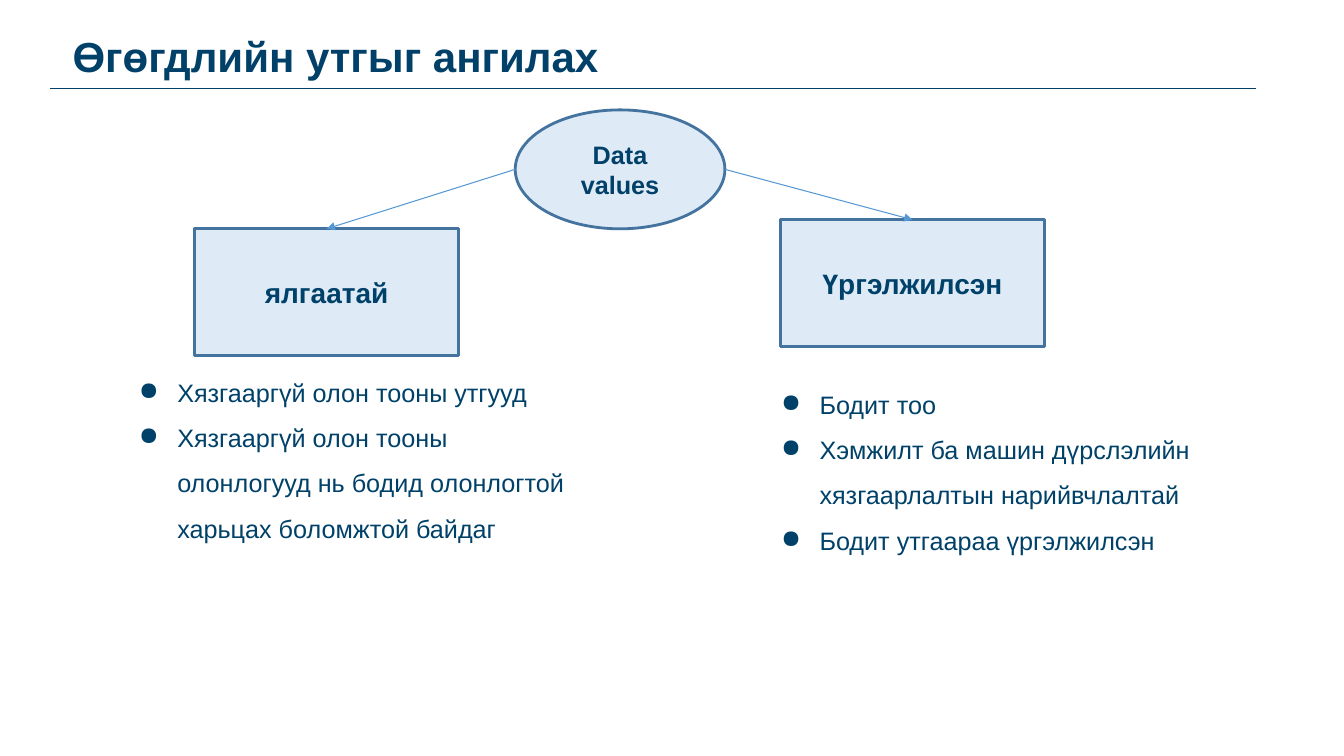
"""Build a slide that classifies data values into two kinds."""
from dataclasses import dataclass

from lxml import etree
from pptx import Presentation
from pptx.dml.color import RGBColor
from pptx.enum import shapes, text
from pptx.oxml import ns
from pptx.shapes.autoshape import Shape
from pptx.shapes.connector import Connector
from pptx.slide import Slide
from pptx.text.text import TextFrame
from pptx.util import Inches, Pt


@dataclass(frozen=True)
class Theme:
    """Hold the colours and type sizes."""
    font: str = "Arial"
    title: str = "014169"
    body: str = "004169"
    fill: str = "DEEBF7"
    outline: str = "43739E"
    arrow: str = "5698D3"
    title_size: int = 30
    kind_size: int = 20
    body_size: int = 18


@dataclass(frozen=True)
class Area:
    """Give a rectangle in inches."""
    left: float
    top: float
    width: float
    height: float

    def lengths(self) -> list[int]:
        """Return the rectangle as slide lengths."""
        return [Inches(n) for n in (self.left, self.top, self.width, self.height)]


@dataclass(frozen=True)
class Node:
    """Describe a labelled shape of the diagram."""
    area: Area
    lines: tuple[str, ...]
    outline: shapes.MSO_SHAPE
    size: int
    color: str


@dataclass(frozen=True)
class BulletList:
    """Describe a bulleted text box."""
    area: Area
    inset: float
    items: tuple[str, ...]


THEME = Theme()
ROOT = Node(Area(5.11, 1.09, 2.08, 1.18), ("Data", "values"),
            shapes.MSO_SHAPE.OVAL, THEME.body_size, THEME.title)
KINDS = [
    Node(Area(left, top, 2.62, 1.26), (label,),
         shapes.MSO_SHAPE.RECTANGLE, THEME.kind_size, THEME.body)
    for left, top, label in ((1.93, 2.27, "ялгаатай"), (7.74, 2.18, "Үргэлжилсэн"))
]
LISTS = [
    BulletList(Area(1.16, 3.49, 4.75, 3.3), 0.1, (
        "Хязгааргүй олон тооны утгууд",
        "Хязгааргүй олон тооны олонлогууд нь бодид олонлогтой харьцах боломжтой байдаг")),
    BulletList(Area(7.53, 3.66, 4.44, 1.86), 0.05, (
        "Бодит тоо",
        "Хэмжилт ба машин дүрслэлийн хязгаарлалтын нарийвчлалтай",
        "Бодит утгаараа үргэлжилсэн")),
]


def write(frame: TextFrame, lines: tuple[str, ...], size: int, color: str, bold: bool) -> None:
    """Write one paragraph per line in a single style."""
    frame.word_wrap = True
    frame.text = "\n".join(lines)
    for para in frame.paragraphs:
        para.font.name = THEME.font
        para.font.size = Pt(size)
        para.font.bold = bold
        para.font.color.rgb = RGBColor.from_string(color)


def add_node(page: Slide, node: Node) -> Shape:
    """Draw a filled shape with a centred label."""
    box = page.shapes.add_shape(node.outline, *node.area.lengths())
    box.shadow.inherit = False
    box.fill.solid()
    box.fill.fore_color.rgb = RGBColor.from_string(THEME.fill)
    box.line.color.rgb = RGBColor.from_string(THEME.outline)
    box.line.width = Pt(2)
    write(box.text_frame, node.lines, node.size, node.color, True)
    box.text_frame.vertical_anchor = text.MSO_ANCHOR.MIDDLE
    for para in box.text_frame.paragraphs:
        para.alignment = text.PP_ALIGN.CENTER
    return box


def add_line(page: Slide, start: tuple[int, int], end: tuple[int, int], color: str) -> Connector:
    """Draw a thin straight line."""
    line = page.shapes.add_connector(shapes.MSO_CONNECTOR.STRAIGHT, *start, *end)
    line.line.color.rgb = RGBColor.from_string(color)
    line.line.width = Pt(0.75)
    etree.SubElement(line._element.spPr, ns.qn("a:effectLst"))
    return line


def add_arrow(page: Slide, start: tuple[int, int], target: Shape) -> None:
    """Draw an arrow to the top of a box."""
    arrow = add_line(page, start, (target.left + target.width // 2, target.top), THEME.arrow)
    arrow.end_connect(target, 0)
    etree.SubElement(arrow.line._get_or_add_ln(), ns.qn("a:tailEnd"), type="triangle")


def add_text(page: Slide, area: Area, inset: float) -> TextFrame:
    """Add a text box with equal vertical insets."""
    frame = page.shapes.add_textbox(*area.lengths()).text_frame
    frame.margin_top = frame.margin_bottom = Inches(inset)
    return frame


def add_bullets(page: Slide, bullets: BulletList) -> None:
    """Draw a list with round bullets and hanging indents."""
    frame = add_text(page, bullets.area, bullets.inset)
    write(frame, bullets.items, THEME.body_size, THEME.body, False)
    for para in frame.paragraphs:
        para.line_spacing = 1.5
        properties = para._p.get_or_add_pPr()
        properties.set("marL", str(Inches(0.5)))
        properties.set("indent", str(Inches(-0.38)))
        bullet = etree.Element(ns.qn("a:buChar"), char="●")
        properties.find(ns.qn("a:lnSpc")).addnext(bullet)
        color = etree.Element(ns.qn("a:buClr"))
        etree.SubElement(color, ns.qn("a:srgbClr"), val=THEME.body)
        bullet.addprevious(color)


def main() -> None:
    """Build and save the deck."""
    deck = Presentation()
    deck.slide_width, deck.slide_height = Inches(13.33), Inches(7.5)
    page = deck.slides.add_slide(deck.slide_layouts[6])

    title = add_text(page, Area(0.67, 0.25, 12.32, 0.71), 0.05)
    title.margin_left = title.margin_right = Inches(0.05)
    write(title, ("Өгөгдлийн утгыг ангилах",), THEME.title_size, THEME.title, True)
    rule = Inches(0.88)
    add_line(page, (Inches(0.5), rule), (Inches(12.46), rule), THEME.title)

    for bullets in LISTS:
        add_bullets(page, bullets)
    root = add_node(page, ROOT)
    middle = root.top + root.height // 2
    for kind, side in zip(KINDS, (root.left, root.left + root.width)):
        add_arrow(page, (side, middle), add_node(page, kind))
    deck.save("out.pptx")


if __name__ == "__main__":
    main()
